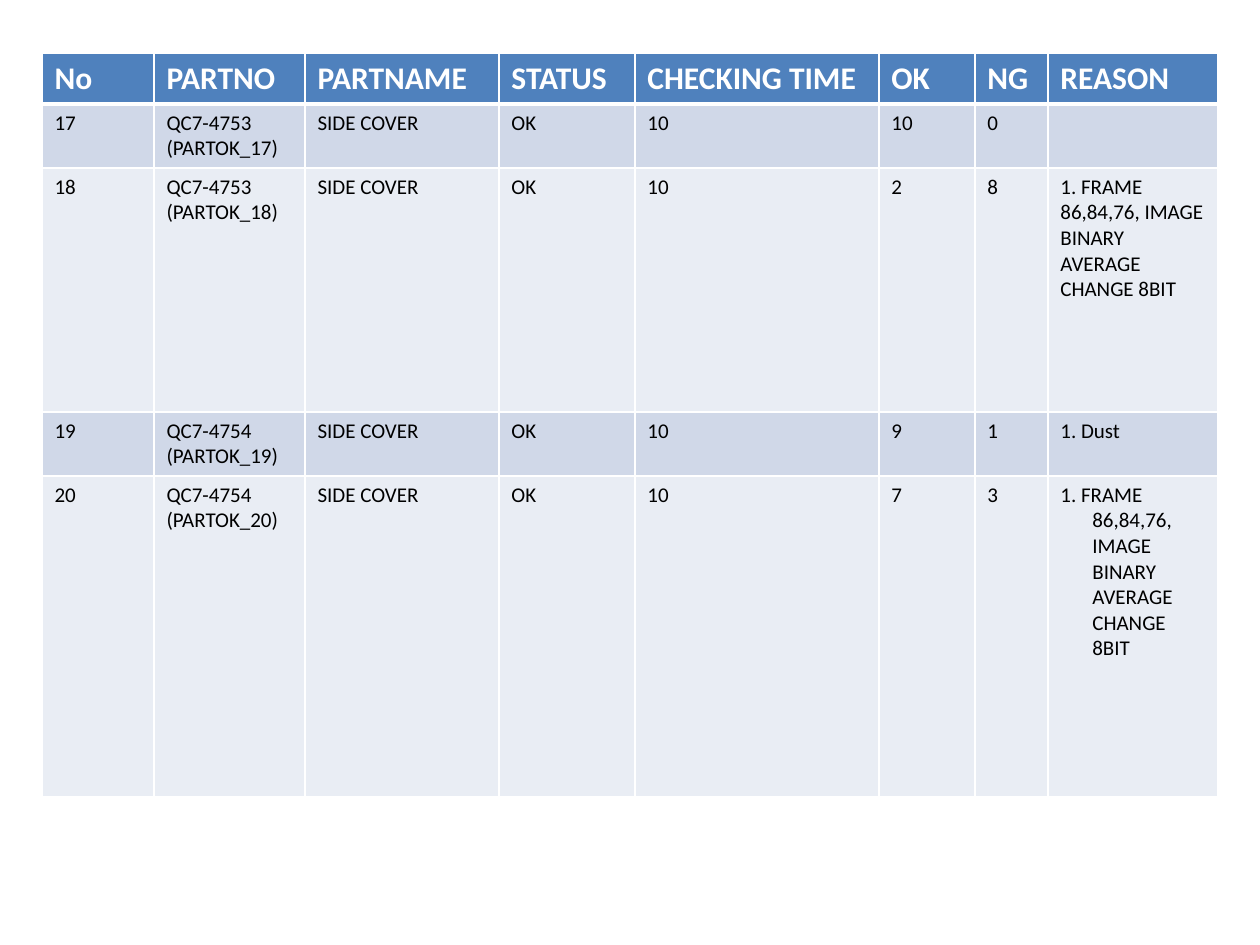
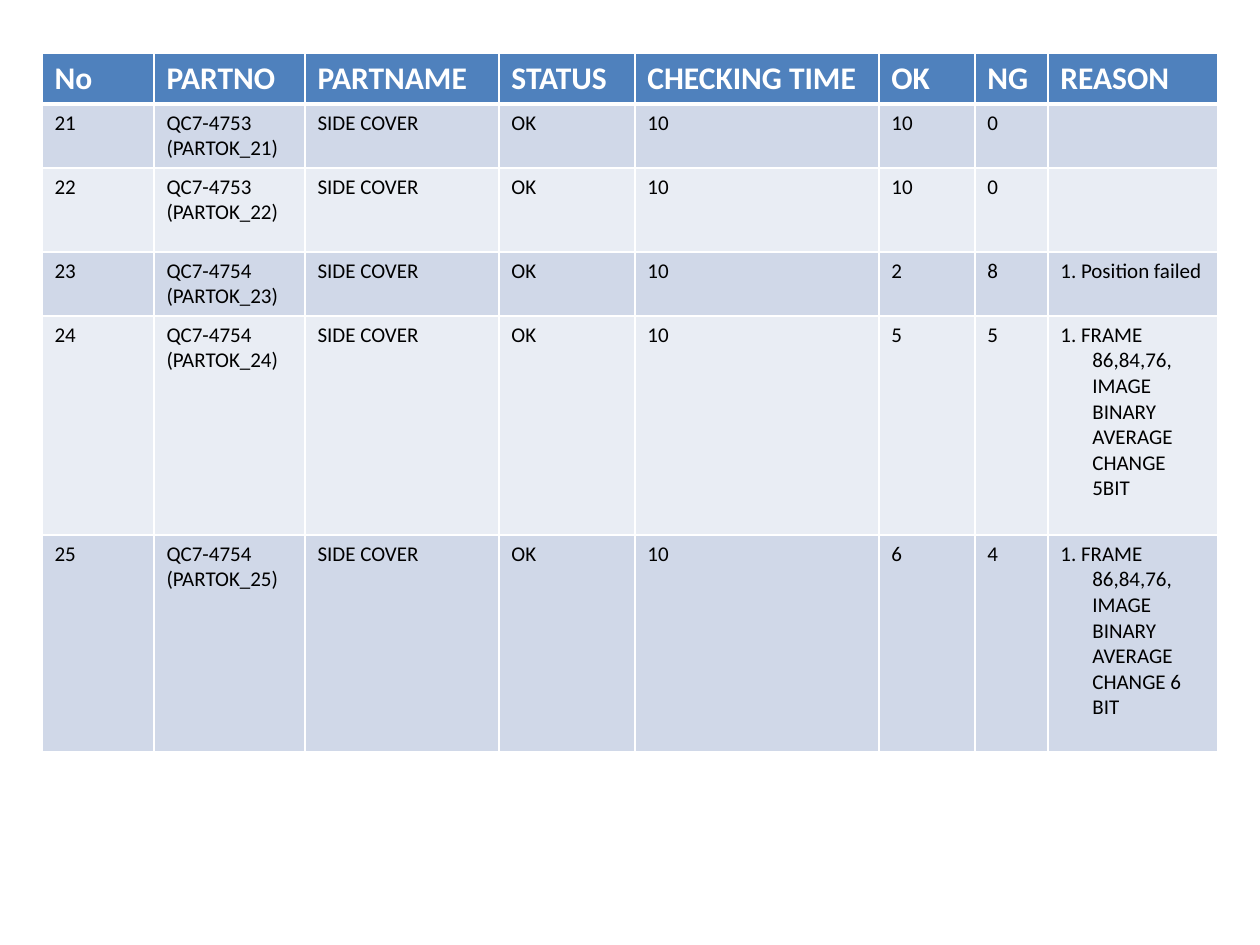
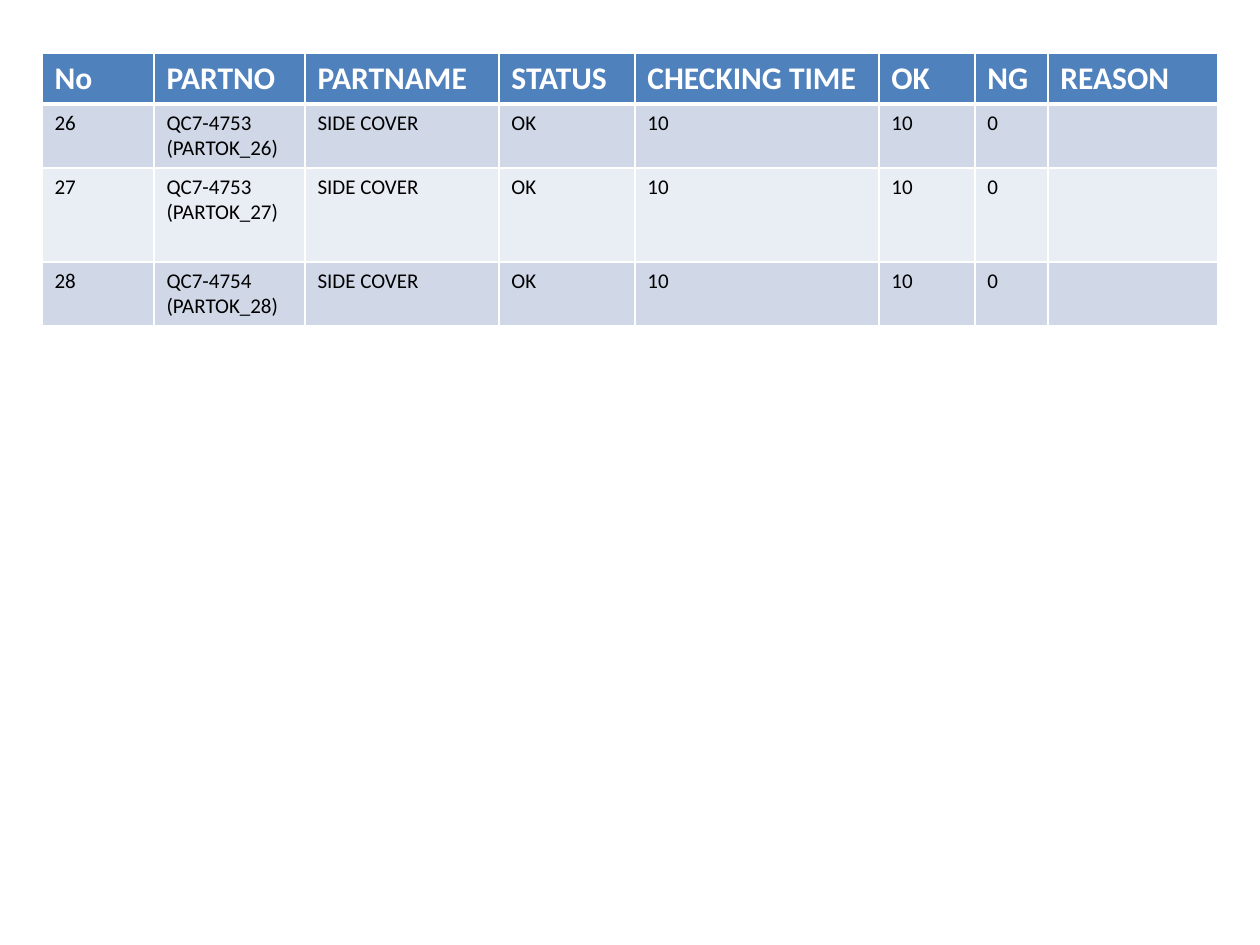
from lxml.etree import SubElement
from pptx import Presentation
from pptx.dml.color import RGBColor
from pptx.oxml.ns import qn
from pptx.util import Emu, Pt

COLORS = {
    "header": "4F81BD",
    "odd_row": "D0D8E8",
    "even_row": "E9EDF4",
    "white": "FFFFFF",
    "black": "000000",
}
FONT = "Calibri"
PX_PER_INCH = 126
TABLE_LEFT, TABLE_TOP = 42, 53
HEADER_HEIGHT = 51
ROW_HEIGHT = 64
HANGING_INDENT = 32
CHECKING_TIME = 10
COLUMNS = {
    "No": 112,
    "PARTNO": 151,
    "PARTNAME": 194,
    "STATUS": 136,
    "CHECKING TIME": 244,
    "OK": 96,
    "NG": 73,
    "REASON": 170,
}
FRAME_CHANGE = "1. FRAME 86,84,76, IMAGE BINARY AVERAGE CHANGE "

# Each check: number, part number, OK count, reason, row height, hanging reason
PAGES = [
    [
        (17, "QC7-4753", 10, "", ROW_HEIGHT, False),
        (18, "QC7-4753", 2, FRAME_CHANGE + "8BIT", 244, False),
        (19, "QC7-4754", 9, "1. Dust", ROW_HEIGHT, False),
        (20, "QC7-4754", 7, FRAME_CHANGE + "8BIT", 321, True),
    ],
    [
        (21, "QC7-4753", 10, "", ROW_HEIGHT, False),
        (22, "QC7-4753", 10, "", 84, False),
        (23, "QC7-4754", 2, "1. Position failed", ROW_HEIGHT, False),
        (24, "QC7-4754", 5, FRAME_CHANGE + "5BIT", 219, True),
        (25, "QC7-4754", 6, FRAME_CHANGE + "6 BIT", 217, True),
    ],
    [
        (26, "QC7-4753", 10, "", ROW_HEIGHT, False),
        (27, "QC7-4753", 10, "", 94, False),
        (28, "QC7-4754", 10, "", ROW_HEIGHT, False),
    ],
]


def px(length):
    return Emu(round(length * 914400 / PX_PER_INCH))


def write_text(frame, text, size=12, color="black", bold=False, hanging=False):
    """Write each line of text as its own paragraph."""
    for index, line in enumerate(text.split("\n")):
        para = frame.add_paragraph() if index else frame.paragraphs[0]
        if hanging:
            properties = para._p.get_or_add_pPr()
            properties.set("marL", str(px(HANGING_INDENT)))
            properties.set("indent", str(-px(HANGING_INDENT)))
        if not line:
            para.font.size = Pt(size)
            continue
        span = para.add_run()
        span.text = line
        span.font.name = FONT
        span.font.size = Pt(size)
        span.font.bold = bold
        span.font.color.rgb = RGBColor.from_string(COLORS[color])


def add_borders(cell, widths):
    """Draw white borders; widths maps L, R, T and B, in that order, to points."""
    properties = cell._tc.get_or_add_tcPr()
    for side, width in widths.items():
        line = SubElement(properties, qn(f"a:ln{side}"), w=str(Pt(width)))
        fill = SubElement(line, qn("a:solidFill"))
        SubElement(fill, qn("a:srgbClr"), val=COLORS["white"])


def fill_cell(cell, text, fill, borders, **text_format):
    add_borders(cell, borders)
    cell.fill.solid()
    cell.fill.fore_color.rgb = RGBColor.from_string(COLORS[fill])
    write_text(cell.text_frame, text, **text_format)


def fill_header(table):
    table.rows[0].height = px(HEADER_HEIGHT)
    for cell, title in zip(table.rows[0].cells, COLUMNS):
        fill_cell(cell, title, "header", {"L": 1, "R": 1, "T": 1, "B": 3},
                  size=18, color="white", bold=True)


def fill_check(table, row_index, check):
    number, part, passed, reason, height, hanging = check
    row = table.rows[row_index]
    row.height = px(height)
    values = [number, f"{part}\n(PARTOK_{number})", "SIDE COVER", "OK",
              CHECKING_TIME, passed, CHECKING_TIME - passed, reason]
    fill = "odd_row" if row_index % 2 else "even_row"
    for title, cell, value in zip(COLUMNS, row.cells, values):
        fill_cell(cell, str(value), fill, {"L": 1, "R": 1, "B": 1},
                  hanging=hanging and title == "REASON")


def add_check_table(page, checks, left, top):
    height = HEADER_HEIGHT + sum(check[4] for check in checks)
    box = page.shapes.add_table(len(checks) + 1, len(COLUMNS), px(left), px(top),
                                px(sum(COLUMNS.values())), px(height))
    table = box.table
    table.horz_banding = False
    for column, width in zip(table.columns, COLUMNS.values()):
        column.width = px(width)
    fill_header(table)
    for row_index, check in enumerate(checks, start=1):
        fill_check(table, row_index, check)


def main():
    deck = Presentation()
    deck.slide_width, deck.slide_height = px(1260), px(945)
    for checks in PAGES:
        page = deck.slides.add_slide(deck.slide_layouts[6])
        add_check_table(page, checks, TABLE_LEFT, TABLE_TOP)
    deck.save("out.pptx")


if __name__ == "__main__":
    main()
